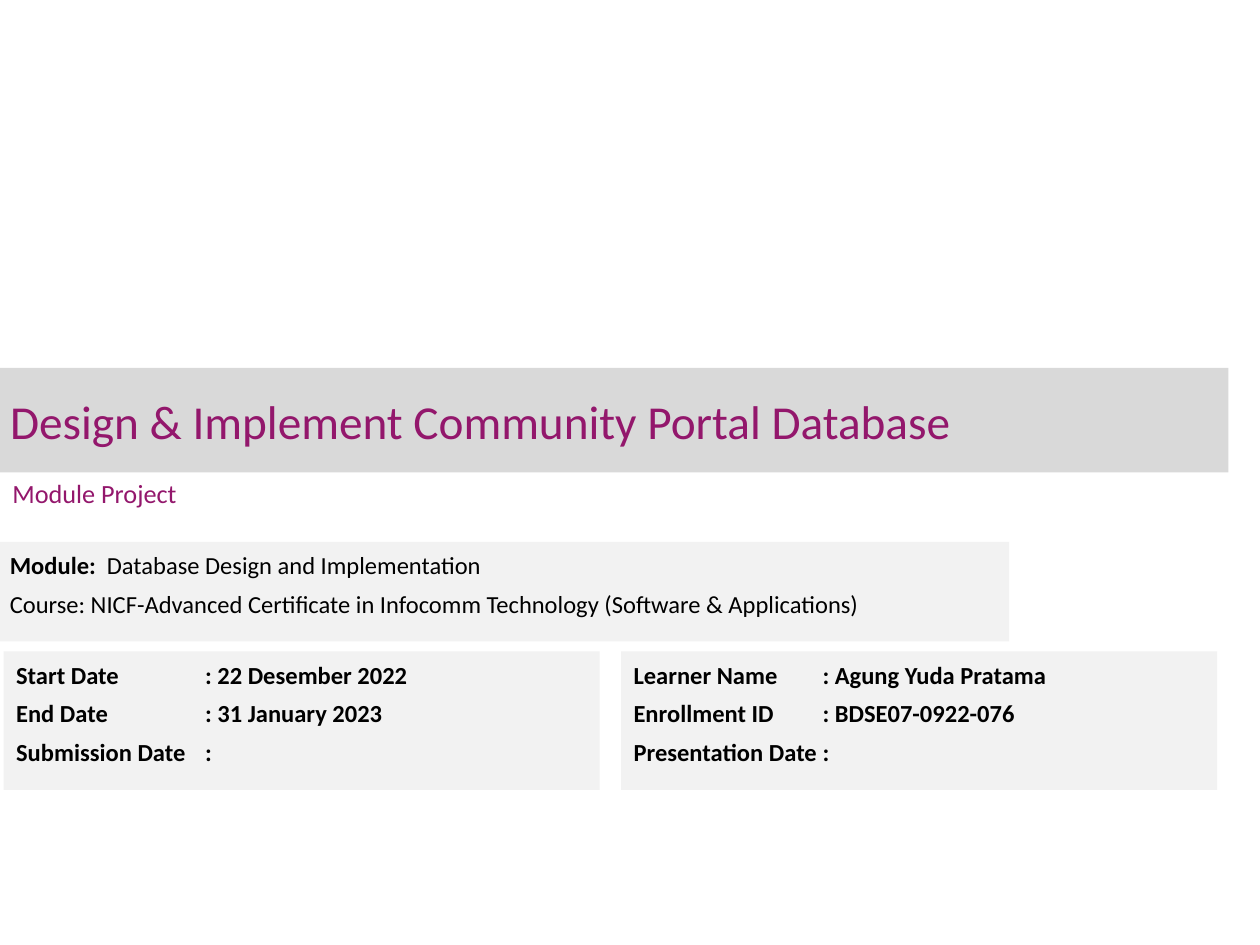
from lxml.etree import SubElement
from pptx import Presentation
from pptx.dml.color import RGBColor
from pptx.enum.shapes import MSO_SHAPE
from pptx.enum.text import MSO_ANCHOR, PP_ALIGN
from pptx.oxml.ns import qn
from pptx.util import Inches, Pt

COLORS = {"band": "D9D9D9", "panel": "F2F2F2", "accent": "93176C", "body": "000000"}

TITLE = [[("Design & Implement Community Portal Database", False)]]
SUBTITLE = [[("Module Project", False)]]
COURSE = [
    [("Module:\t", True), ("Database Design and Implementation", False)],
    [("Course: NICF-Advanced Certificate in Infocomm Technology (Software & Applications)", False)],
]
DETAILS = [
    [("Start Date", "22 Desember 2022"), ("End Date", "31 January 2023"), ("Submission Date", "")],
    [("Learner Name", "Agung Yuda Pratama"), ("Enrollment ID", "BDSE07-0922-076"), ("Presentation Date", "")],
]

SLIDE_WIDTH, SLIDE_HEIGHT = 10, 7.5
DETAIL_LEFT, DETAIL_TOP = 0.03, 5.17
DETAIL_WIDTH, DETAIL_HEIGHT, DETAIL_GAP = 4.73, 1.1, 0.17
MODULE_TAB, COLON_TAB = 0.77, 1.5

HEADING = {"anchor": MSO_ANCHOR.MIDDLE, "color": "accent", "spacing": {}}
BODY = {
    "anchor": MSO_ANCHOR.TOP,
    "color": "body",
    "size": 14,
    "margins": (0.1, 0.05),
    "fill": "panel",
    "spacing": {"line_spacing": Pt(18), "space_before": Pt(2), "space_after": Pt(2)},
}
TITLE_STYLE = {**HEADING, "size": 27, "margins": (0.08, 0.04), "fill": "band"}
SUBTITLE_STYLE = {**HEADING, "size": 15, "margins": (0.1, 0.05), "fill": None}


def apply(target, values):
    for attribute, value in values.items():
        setattr(target, attribute, value)


def color(key):
    return RGBColor.from_string(COLORS[key])


def add_panel(slide, box, lines, style, tab=None):
    place = [Inches(length) for length in box]
    if style["fill"]:
        panel = slide.shapes.add_shape(MSO_SHAPE.RECTANGLE, *place)
        panel.shadow.inherit = False
        panel.fill.solid()
        panel.fill.fore_color.rgb = color(style["fill"])
        panel.line.fill.background()
    else:
        panel = slide.shapes.add_textbox(*place)
    frame = panel.text_frame
    side, end = (Inches(margin) for margin in style["margins"])
    apply(frame, {
        "word_wrap": True, "vertical_anchor": style["anchor"],
        "margin_left": side, "margin_right": side,
        "margin_top": end, "margin_bottom": end,
    })
    for index, line in enumerate(lines):
        paragraph = frame.paragraphs[0] if index == 0 else frame.add_paragraph()
        apply(paragraph, {"alignment": PP_ALIGN.LEFT, **style["spacing"]})
        if index == 0:
            paragraph.space_before = Pt(0)
        if tab:
            stops = SubElement(paragraph._p.get_or_add_pPr(), qn("a:tabLst"))
            SubElement(stops, qn("a:tab"), pos=str(Inches(tab)), algn="l")
        for words, bold in line:
            run = paragraph.add_run()
            run.text = words
            apply(run.font, {"name": "Calibri", "size": Pt(style["size"]), "bold": bold})
            run.font.color.rgb = color(style["color"])


def main():
    deck = Presentation()
    apply(deck, {"slide_width": Inches(SLIDE_WIDTH), "slide_height": Inches(SLIDE_HEIGHT)})
    slide = deck.slides.add_slide(deck.slide_layouts[6])
    add_panel(slide, (0, 2.92, 9.75, 0.83), TITLE, TITLE_STYLE)
    add_panel(slide, (0, 3.6, 6.42, 0.62), SUBTITLE, SUBTITLE_STYLE)
    add_panel(slide, (-0.02, 4.3, 8.03, 0.79), COURSE, BODY, MODULE_TAB)
    for column, details in enumerate(DETAILS):
        left = DETAIL_LEFT + column * (DETAIL_WIDTH + DETAIL_GAP)
        lines = [[(f"{label}\t: {value}".rstrip(), True)] for label, value in details]
        add_panel(slide, (left, DETAIL_TOP, DETAIL_WIDTH, DETAIL_HEIGHT), lines, BODY, COLON_TAB)
    deck.save("out.pptx")


if __name__ == "__main__":
    main()
